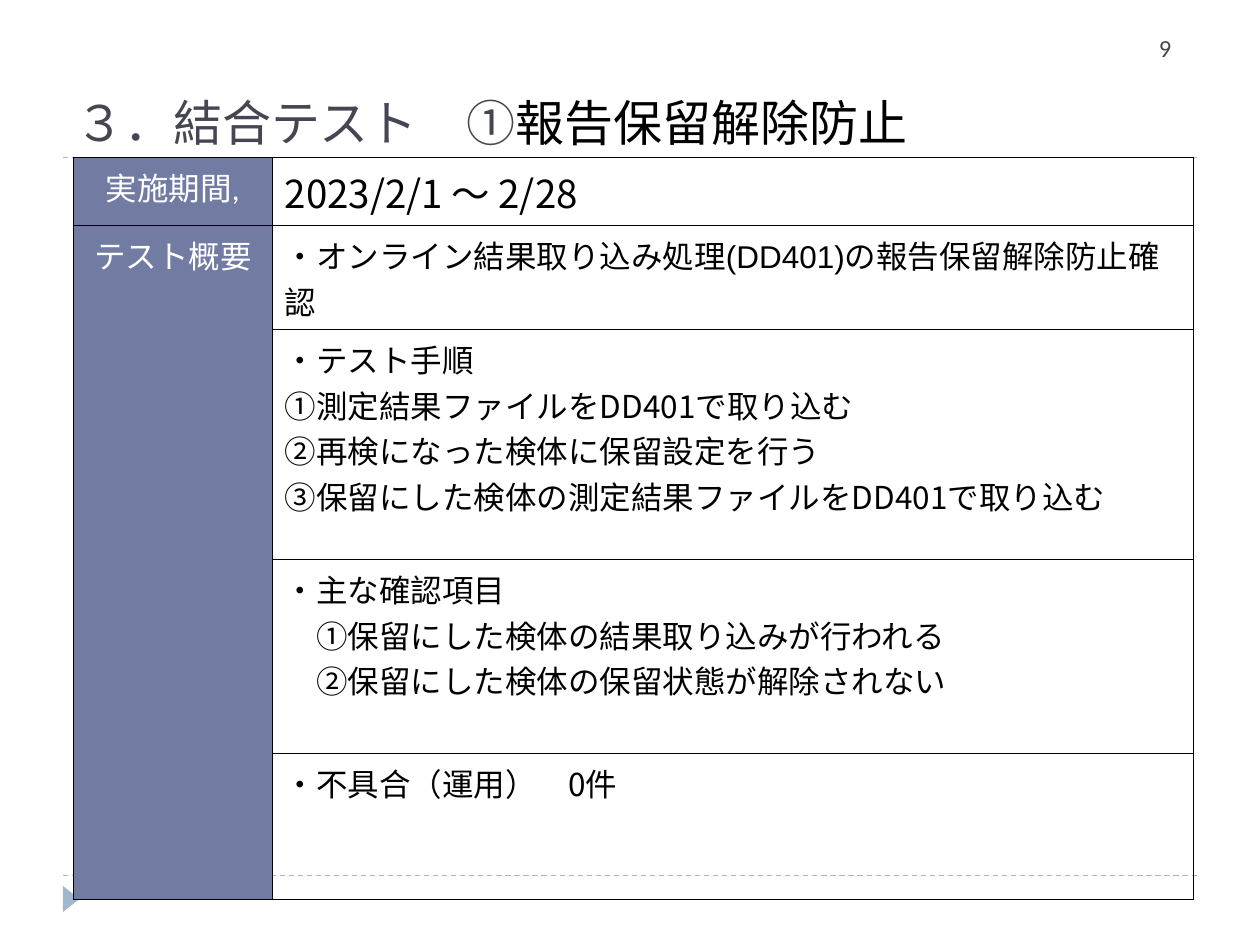
from lxml.etree import SubElement as Sub
from pptx import Presentation
from pptx.dml.color import RGBColor as Rgb
from pptx.enum.dml import MSO_LINE_DASH_STYLE as Dash
from pptx.enum.shapes import MSO_CONNECTOR as Link, MSO_SHAPE as Shape
from pptx.enum.text import MSO_ANCHOR as Anchor, PP_ALIGN as Align
from pptx.oxml import parse_xml
from pptx.oxml.ns import nsdecls, qn
from pptx.util import Pt

HUES = {"ink": "000000", "slate": "464653", "white": "FFFFFF",
        "label": "727CA3", "trim": "9FB8CD"}
NOTO = "Noto Sans CJK JP"


def hue(name):
    return Rgb.from_string(HUES[name])


def write(para, text, size=18, font=NOTO, color="ink", align=Align.LEFT):
    para.alignment = align
    run = para.add_run()
    run.text = text
    run.font.size = Pt(size)
    run.font.name = font
    run.font.color.rgb = hue(color)
    Sub(run.font._element, qn("a:ea")).set("typeface", NOTO)


deck = Presentation()
deck.slide_width, deck.slide_height = Pt(720), Pt(540)
slide = deck.slides.add_slide(deck.slide_layouts[6])
shapes = slide.shapes

for y in (500.4, 90):
    rule = shapes.add_connector(Link.STRAIGHT, Pt(36), Pt(y), Pt(684), Pt(y))
    rule.line.color.rgb = hue("trim")
    rule.line.width = Pt(0.74)
    rule.line.dash_style = Dash.DASH
    Sub(rule._element.spPr, qn("a:effectLst"))

mark = shapes.add_shape(Shape.ISOSCELES_TRIANGLE, Pt(33.1), Pt(509), Pt(15), Pt(9.4))
mark.rotation = 90
mark.shadow.inherit = False
mark.fill.solid()
mark.fill.fore_color.rgb = hue("trim")
mark.line.fill.background()

labels = ["実施期間,", "テスト概要"]
bodies = [
    [[("2023/2/1 ～ 2/28", {"size": 22})]],
    [[("・", {}), ("オンライン結果取り込み処理(DD401)の報告保留解除防止確認", {"font": "Arial"})]],
    [[("・テスト手順", {})],
     [("①測定結果ファイルをDD401で取り込む", {})],
     [("②再検になった検体に保留設定を行う", {})],
     [("③保留にした検体の測定結果ファイルをDD401で取り込む", {})]],
    [[("・主な確認項目", {})],
     [("　①保留にした検体の結果取り込みが行われる", {})],
     [("　②保留にした検体の保留状態が解除されない", {})]],
    [[("・不具合（運用）　0件", {})]],
]
widths = [113.8, 526.6]
heights = [39, 59.4, 131.4, 110.8, 83.4]

grid = shapes.add_table(len(heights), len(widths), Pt(41.8), Pt(90),
                        Pt(sum(widths)), Pt(sum(heights))).table
grid.first_row = grid.horz_banding = False
for col, width in zip(grid.columns, widths):
    col.width = Pt(width)
for row, height in zip(grid.rows, heights):
    row.height = Pt(height)
    for c, cell in enumerate(row.cells):
        if c == 0:
            cell.fill.solid()
            cell.fill.fore_color.rgb = hue("label")
        else:
            cell.fill.background()
        props = cell._tc.get_or_add_tcPr()
        for i, side in enumerate("LRTB"):
            props.insert(i, parse_xml(
                f'<a:ln{side} {nsdecls("a")} w="{Pt(0.45)}"><a:solidFill>'
                f'<a:srgbClr val="{HUES["ink"]}"/></a:solidFill></a:ln{side}>'))
grid.cell(1, 0).merge(grid.cell(4, 0))

for r, text in enumerate(labels):
    write(grid.cell(r, 0).text_frame.paragraphs[0], text,
          font="Calibri", color="white", align=Align.CENTER)
for r, paras in enumerate(bodies):
    frame = grid.cell(r, 1).text_frame
    for i, runs in enumerate(paras):
        para = frame.add_paragraph() if i else frame.paragraphs[0]
        for text, style in runs:
            write(para, text, **style)

title = shapes.add_textbox(Pt(36), Pt(18), Pt(648), Pt(72)).text_frame
title.word_wrap = True
title.vertical_anchor = Anchor.BOTTOM
write(title.paragraphs[0], "３．結合テスト　①", size=28, color="slate")
write(title.paragraphs[0], "報告保留解除防止", size=28, font="Arial")

page = shapes.add_textbox(Pt(655.2), Pt(15.1), Pt(95.8), Pt(28.8)).text_frame
page.word_wrap = True
write(page.paragraphs[0], "9", size=14, font="Calibri", color="slate")

deck.save("out.pptx")
